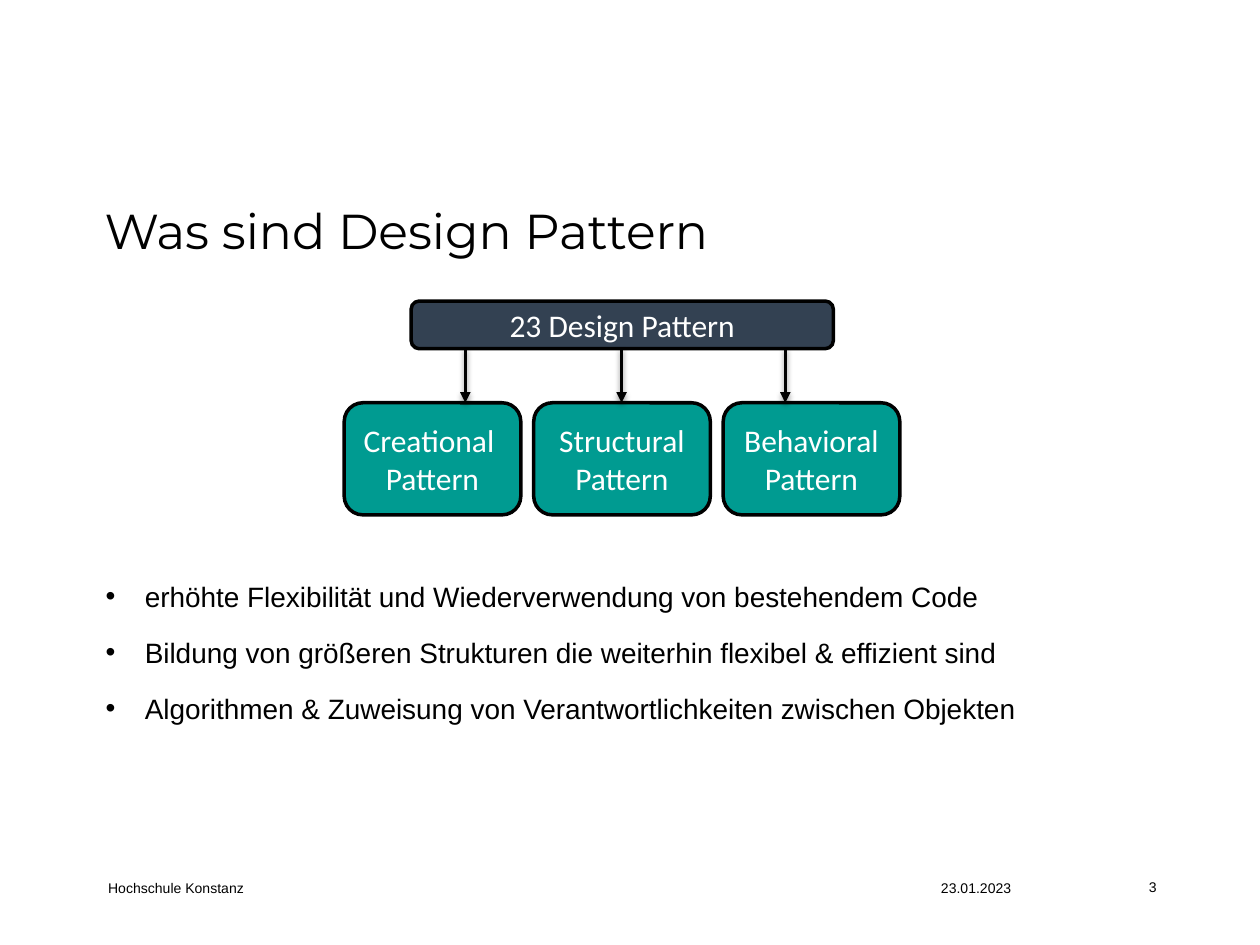
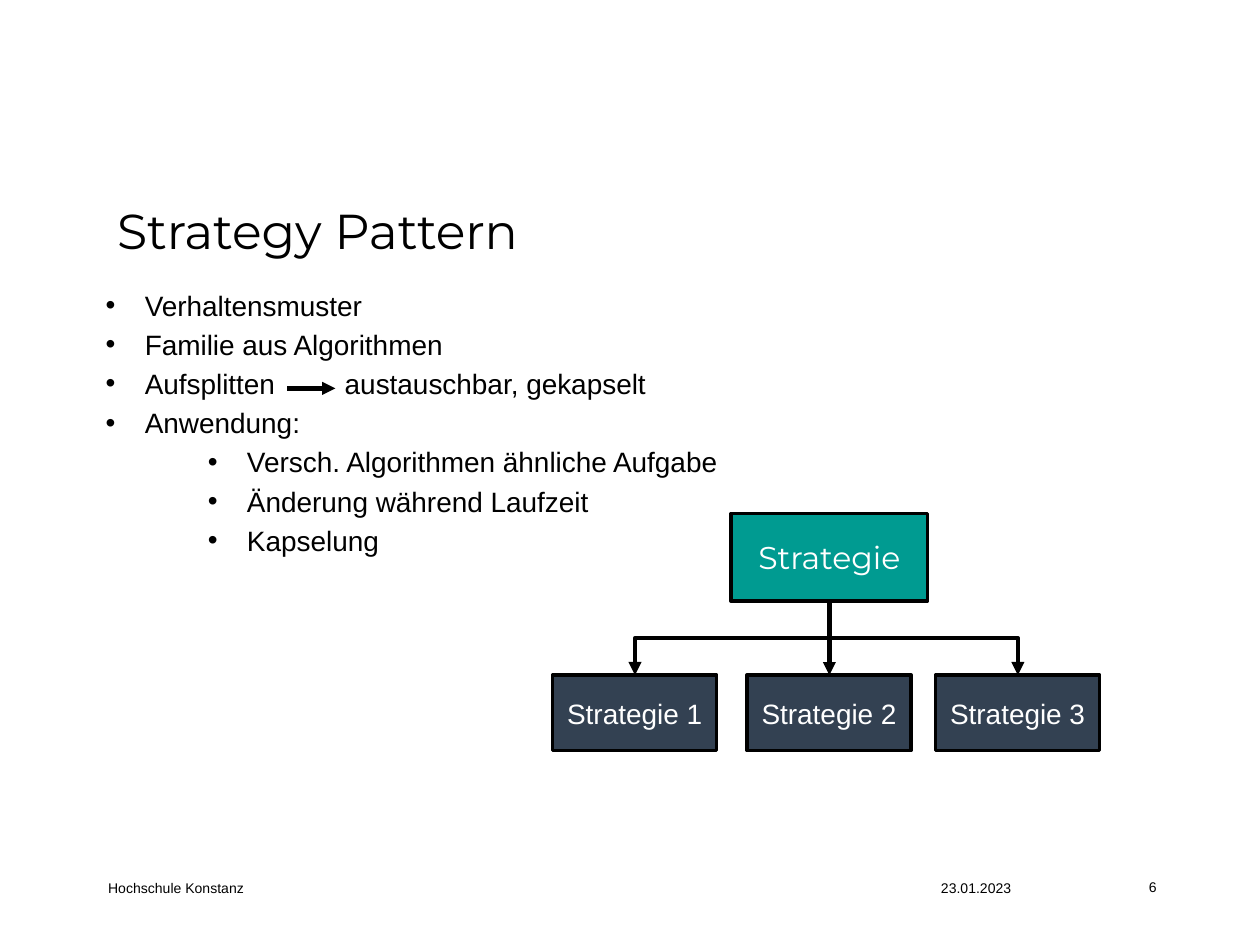
import pptx
import pptx.util
import pptx.dml.color
import pptx.enum.shapes
import pptx.enum.text
import pptx.oxml.ns
import lxml.etree

Cm, Pt = pptx.util.Cm, pptx.util.Pt
Kind = pptx.enum.shapes.MSO_SHAPE
Link = pptx.enum.shapes.MSO_CONNECTOR
Align = pptx.enum.text.PP_ALIGN
Anchor = pptx.enum.text.MSO_ANCHOR
qn = pptx.oxml.ns.qn

HUES = {"black": "000000", "white": "FFFFFF", "navy": "334152", "teal": "009B91"}
HEAD = (1.86, 3.92, 21.41, 1.67)
BODY = (1.88, 5.68, 21.41, 10.52)


def hue(name):
    """Return the named colour."""
    return pptx.dml.color.RGBColor.from_string(HUES[name])


def node(parent, tag, **attrs):
    """Append an XML element with attributes."""
    return lxml.etree.SubElement(parent, qn(tag), attrs)


def write(frame, text, size=16, font="Arial", color="black", align=Align.LEFT,
          anchor=Anchor.TOP, before=0, lines=None):
    """Fill a text frame with one paragraph per line of text."""
    frame.word_wrap = True
    frame.vertical_anchor = anchor
    for num, line in enumerate(text.split("\n")):
        para = frame.add_paragraph() if num else frame.paragraphs[0]
        para.alignment = align
        para.space_before = Pt(before)
        para.line_spacing = lines
        run = para.add_run()
        run.text = line
        run.font.size, run.font.name = Pt(size), font
        run.font.color.rgb = hue(color)


def label(slide, box, text, **form):
    """Add a text box and return its frame."""
    frame = slide.shapes.add_textbox(*map(Cm, box)).text_frame
    write(frame, text, **form)
    return frame


def block(slide, box, text, fill, kind=Kind.RECTANGLE, **form):
    """Add an outlined box with centred white text."""
    shape = slide.shapes.add_shape(kind, *map(Cm, box))
    shape.shadow.inherit = False
    shape.fill.solid()
    shape.fill.fore_color.rgb = hue(fill)
    shape.line.color.rgb = hue("black")
    shape.line.width = Pt(2)
    write(shape.text_frame, text, color="white", align=Align.CENTER,
          anchor=Anchor.MIDDLE, **form)


def arrow(slide, start, end, kind=Link.STRAIGHT, width=2.5, shade=False):
    """Add a black arrow and return it."""
    line = slide.shapes.add_connector(kind, *map(Cm, start + end))
    line.line.color.rgb = hue("black")
    line.line.width = Pt(width)
    props = line._element.spPr
    node(props.find(qn("a:ln")), "a:tailEnd", type="triangle")
    effect = node(props, "a:effectLst")
    if shade:
        cast = node(effect, "a:outerShdw", blurRad="40000", dist="20000",
                    dir="5400000", rotWithShape="0")
        node(node(cast, "a:srgbClr", val=HUES["black"]), "a:alpha", val="38000")
    return line


def bend(slide, start, end):
    """Add an elbow arrow that leaves downwards and arrives downwards."""
    (left, top), (right, low) = start, end
    midx, midy = (left + right) / 2, (top + low) / 2
    half, rise = (low - top) / 2, abs(right - left) / 2
    east = right > left
    side = half if east else -half
    line = arrow(slide, (midx + side, midy - rise), (midx - side, midy + rise),
                 Link.ELBOW)
    turn = 270 if east else 90
    line._element.spPr.find(qn("a:xfrm")).set("rot", str(turn * 60000))


def bullets(slide, box, items, lead=0.13, lines=None, stop=4.82):
    """Add a bullet list of (level, text) items."""
    text = "\n".join(item for _, item in items)
    frame = label(slide, box, text, before=3.2, lines=lines)
    frame.margin_top = Cm(lead)
    for para, (level, item) in zip(frame.paragraphs, items):
        para.level = level
        props = para._p.get_or_add_pPr()
        props.set("marL", str(Cm(0.79 + level * 2.06)))
        props.set("indent", str(-Cm(0.79)))
        node(props, "a:buFont", typeface="Arial")
        node(props, "a:buChar", char="•")
        if "\t" in item:
            node(node(props, "a:tabLst"), "a:tab", pos=str(Cm(stop)), algn="l")


def base(deck, title, page, pad=0.25):
    """Add a slide with title and footer."""
    slide = deck.slides.add_slide(deck.slide_layouts[6])
    label(slide, (22.91, 17.59, 2.21, 0.61), page, size=8)
    label(slide, (18.72, 17.51, 2.31, 0.76), "23.01.2023", size=8,
          anchor=Anchor.MIDDLE)
    label(slide, (1.93, 17.45, 3.89, 0.89), "Hochschule Konstanz", size=8,
          anchor=Anchor.MIDDLE)
    frame = label(slide, HEAD, title, size=28, font="Montserrat")
    frame.margin_left = Cm(pad)
    return slide


def groups(slide, left, top):
    """Draw the three pattern groups below their heading."""
    form = {"kind": Kind.ROUNDED_RECTANGLE, "size": 18, "font": "Calibri"}
    block(slide, (left + 1.35, top, 8.51, 0.96), "23 Design Pattern", "navy", **form)
    names = ("Creational ", "Structural", "Behavioral")
    for num, (name, stem) in enumerate(zip(names, (2.44, 5.59, 8.89))):
        block(slide, (left + num * 3.82, top + 2.05, 3.56, 2.26),
              name + "\nPattern", "teal", **form)
        arrow(slide, (left + stem, top + 0.95), (left + stem, top + 2.05),
              width=2, shade=True)


def tree(slide, left, top):
    """Draw the strategy above its three variants."""
    block(slide, (left + 3.6, top, 3.96, 1.77), "Strategie", "teal",
          size=18, font="Montserrat")
    root, low = (left + 5.58, top + 1.77), top + 3.26
    for num, step in enumerate((0, 3.92, 7.72), 1):
        block(slide, (left + step, low, 3.31, 1.52), f"Strategie {num}", "navy")
        tip = (left + step + 1.66, low)
        if num == 2:
            arrow(slide, root, tip)
        else:
            bend(slide, root, tip)


def main():
    """Build and save the deck."""
    deck = pptx.Presentation()
    deck.slide_width, deck.slide_height = Cm(25.4), Cm(19.05)

    slide = base(deck, "Was sind Design Pattern", "3")
    bullets(slide, BODY, [
        (0, "erhöhte Flexibilität und Wiederverwendung von bestehendem Code"),
        (0, "Bildung von größeren Strukturen die weiterhin flexibel & effizient sind"),
        (0, "Algorithmen & Zuweisung von Verantwortlichkeiten zwischen Objekten"),
    ], lead=5.66, lines=1.5)
    groups(slide, 6.94, 6.07)

    slide = base(deck, "Strategy Pattern", "6", pad=0.5)
    bullets(slide, BODY, [
        (0, "Verhaltensmuster"),
        (0, "Familie aus Algorithmen"),
        (0, "Aufsplitten\taustauschbar, gekapselt"),
        (0, "Anwendung:"),
        (1, "Versch. Algorithmen ähnliche Aufgabe"),
        (1, "Änderung während Laufzeit"),
        (1, "Kapselung"),
    ])
    tree(slide, 11.14, 10.35)
    arrow(slide, (5.79, 7.83), (6.76, 7.83))

    deck.save("out.pptx")


main()
